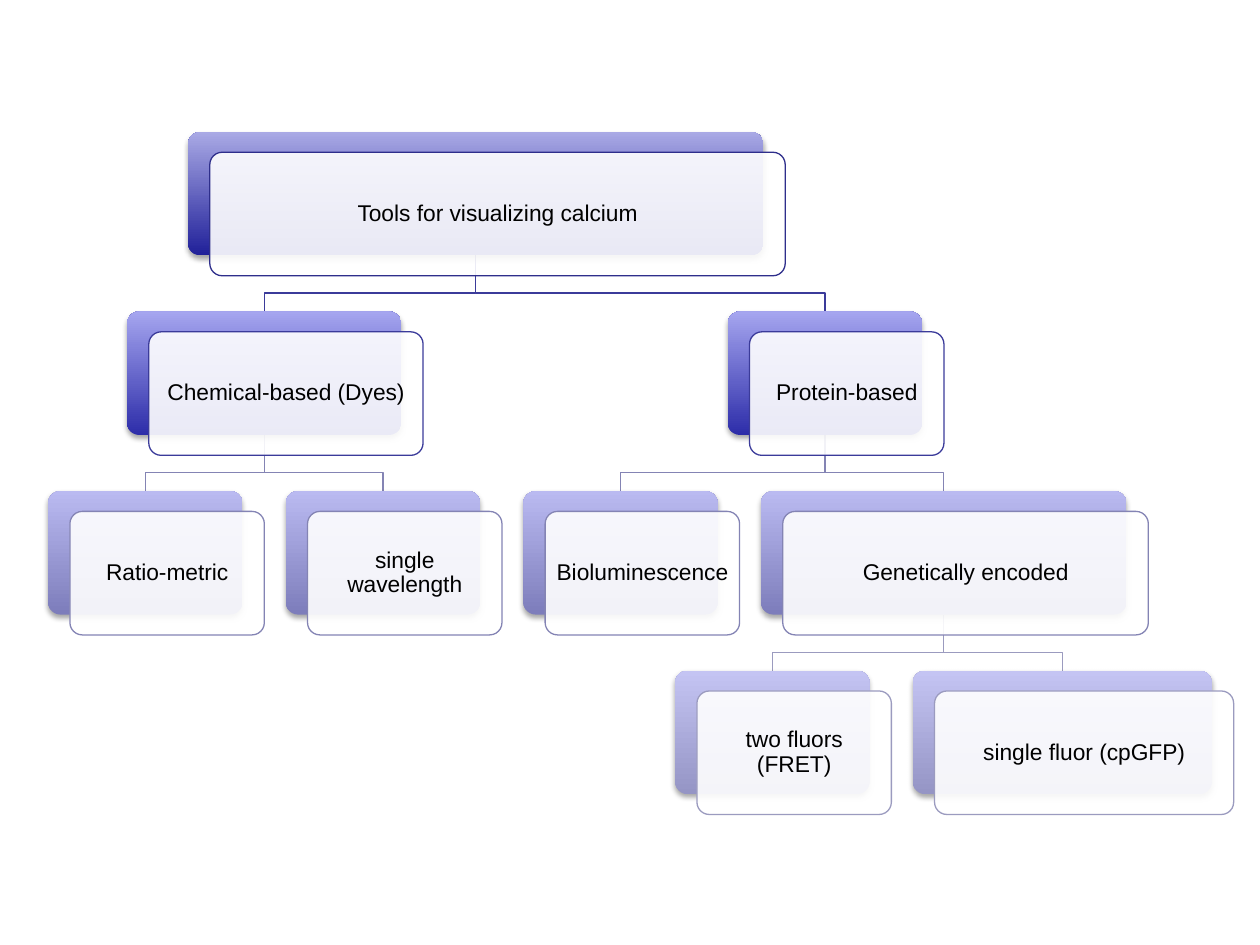
from dataclasses import dataclass

from pptx import Presentation
from pptx.dml.color import RGBColor
from pptx.enum.shapes import MSO_SHAPE
from pptx.enum.text import MSO_ANCHOR, PP_ALIGN
from pptx.oxml import parse_xml
from pptx.oxml.ns import nsdecls, qn
from pptx.util import Cm, Pt

ROUNDED = MSO_SHAPE.ROUNDED_RECTANGLE
MIDDLE = MSO_ANCHOR.MIDDLE
CENTER = PP_ALIGN.CENTER

COLORS = {
    "text": "000000", "card": "FFFFFF",
    "dark0": "202099", "light0": "A9A9E5", "line0": "2E2E8B",
    "dark1": "2D2DA9", "light1": "A5A5EF", "line1": "3B3B9A",
    "dark2": "7D7DBB", "light2": "BABAF1", "line2": "8484B4",
    "dark3": "9595C5", "light3": "C4C4F3", "line3": "9B9BBF",
}

# All lengths in centimetres
FIRST_ROW, ROW_PITCH = 2.66, 3.62
NODE_HEIGHT, LEAF_WIDTH = 2.49, 3.92
CARD_DX, CARD_DY = 0.44, 0.41
ELBOW_DROP = 0.76
CARD_OPACITY = 90

# The rounded corners add their own inset to these margins
FRAME_FORMAT = {
    "word_wrap": True, "vertical_anchor": MIDDLE,
    "margin_left": Cm(0.12), "margin_right": Cm(0.12),
    "margin_top": Cm(0.12), "margin_bottom": Cm(0.12),
}
PARAGRAPH_FORMAT = {"alignment": CENTER, "line_spacing": 0.9}
FONT_FORMAT = {"name": "Arial", "size": Pt(13), "bold": False}


@dataclass
class Node:
    label: str
    level: int
    left: float
    width: float = LEAF_WIDTH
    parent: str = ""

    @property
    def top(self):
        return FIRST_ROW + self.level * ROW_PITCH

    @property
    def center(self):
        return self.left + self.width / 2


ROOT = "Tools for visualizing calcium"
DYES = "Chemical-based (Dyes)"
PROTEIN = "Protein-based"
GENETIC = "Genetically encoded"
NODES = [
    Node(ROOT, 0, 3.79, 11.6),
    Node(DYES, 1, 2.56, 5.53, ROOT),
    Node("Ratio-metric", 2, 0.97, parent=DYES),
    Node("single wavelength", 2, 5.76, parent=DYES),
    Node(PROTEIN, 1, 14.67, parent=ROOT),
    Node("Bioluminescence", 2, 10.55, parent=PROTEIN),
    Node(GENETIC, 2, 15.34, 7.37, PROTEIN),
    Node("two fluors (FRET)", 3, 13.61, parent=GENETIC),
    Node("single fluor (cpGFP)", 3, 18.4, 6.03, GENETIC),
]


def apply(target, values):
    for attribute, value in values.items():
        setattr(target, attribute, value)


class TreeSlide:
    def __init__(self, slide):
        self.slide = slide

    def color(self, key):
        return RGBColor.from_string(COLORS[key])

    def outline(self, shape, level):
        shape.line.color.rgb = self.color(f"line{level}")
        shape.line.width = Pt(0.75)

    def rounded_box(self, left, top, width):
        box = self.slide.shapes.add_shape(
            ROUNDED, Cm(left), Cm(top), Cm(width), Cm(NODE_HEIGHT))
        box.adjustments[0] = 0.1
        box.shadow.inherit = False
        return box

    def branch(self, parent, child):
        start = parent.top + NODE_HEIGHT
        bend = start + ELBOW_DROP
        builder = self.slide.shapes.build_freeform(Cm(parent.center), Cm(start))
        builder.add_line_segments(
            [(Cm(parent.center), Cm(bend)), (Cm(child.center), Cm(bend)),
             (Cm(child.center), Cm(child.top))], close=False)
        elbow = builder.convert_to_shape()
        elbow.shadow.inherit = False
        elbow.fill.background()
        self.outline(elbow, child.level)

    def panel(self, node):
        panel = self.rounded_box(node.left, node.top, node.width)
        panel.line.fill.background()
        panel.fill.gradient()
        panel.fill.gradient_angle = 90
        for stop, tone in zip(panel.fill.gradient_stops, ("dark", "light")):
            stop.color.rgb = self.color(f"{tone}{node.level}")
        # Soft shadow straight below the panel
        panel._element.spPr.find(qn("a:effectLst")).append(parse_xml(
            f'<a:outerShdw {nsdecls("a")} blurRad="{Pt(3.1)}" dist="{Pt(1.8)}" '
            'dir="5400000" rotWithShape="0"><a:srgbClr val="000000">'
            '<a:alpha val="35000"/></a:srgbClr></a:outerShdw>'))

    def card(self, node):
        card = self.rounded_box(node.left + CARD_DX, node.top + CARD_DY, node.width)
        card.fill.solid()
        card.fill.fore_color.rgb = self.color("card")
        fill_color = card._element.spPr.find(f"{qn('a:solidFill')}/{qn('a:srgbClr')}")
        fill_color.append(parse_xml(
            f'<a:alpha {nsdecls("a")} val="{CARD_OPACITY * 1000}"/>'))
        self.outline(card, node.level)
        # Label
        frame = card.text_frame
        apply(frame, FRAME_FORMAT)
        label = frame.paragraphs[0]
        apply(label, PARAGRAPH_FORMAT)
        run = label.add_run()
        run.text = node.label
        apply(run.font, FONT_FORMAT)
        run.font.color.rgb = self.color("text")


def main():
    presentation = Presentation()
    presentation.slide_width, presentation.slide_height = Cm(25.4), Cm(19.05)
    tree = TreeSlide(presentation.slides.add_slide(presentation.slide_layouts[6]))

    # Branches lie behind the nodes
    by_label = {node.label: node for node in NODES}
    for node in NODES:
        if node.parent:
            tree.branch(by_label[node.parent], node)

    # Nodes: gradient panel with an offset label card
    for node in NODES:
        tree.panel(node)
        tree.card(node)

    presentation.save("out.pptx")


if __name__ == "__main__":
    main()
